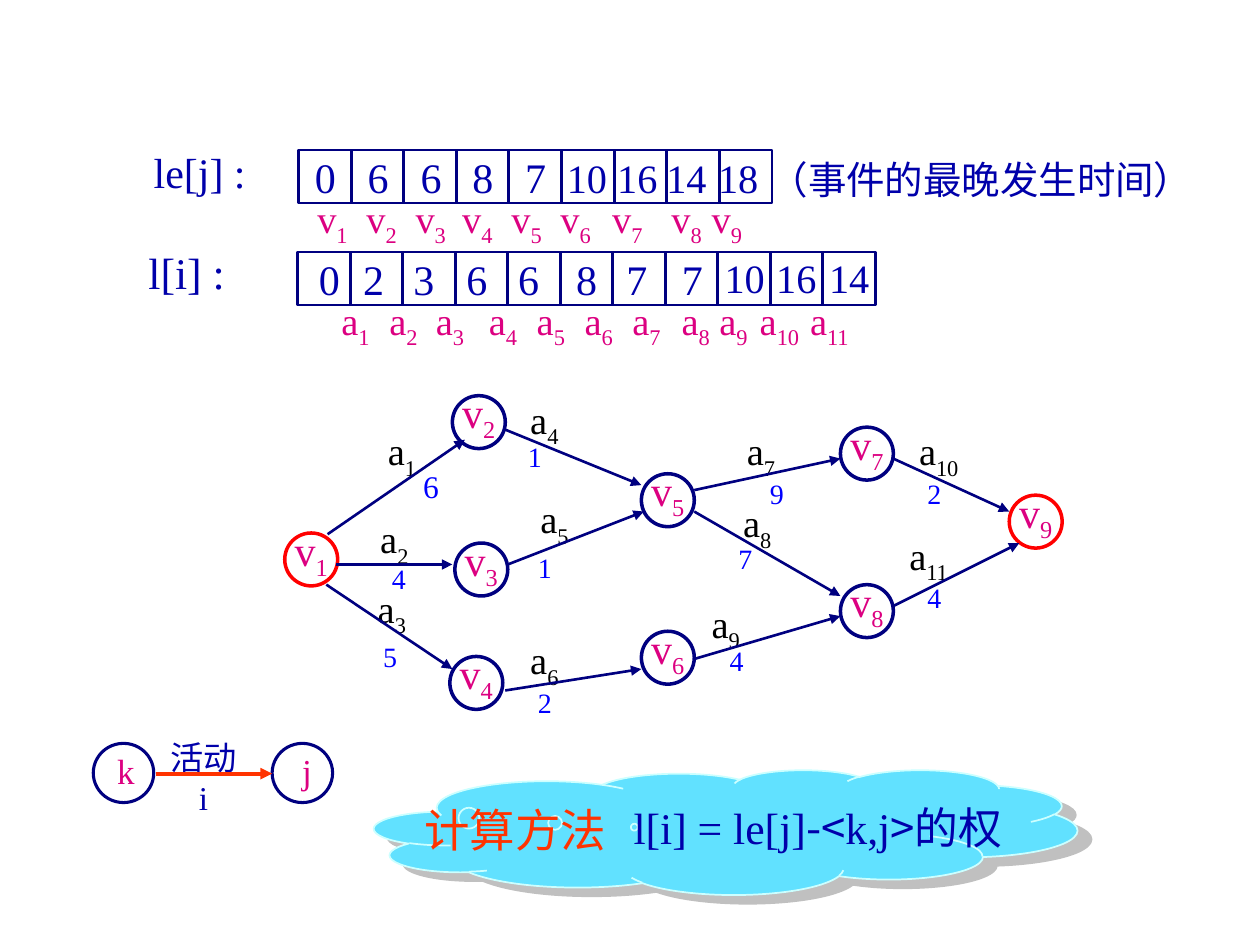
"""Slide on the latest start times of activities in an activity-on-edge network."""
from lxml import etree
from pptx import Presentation
from pptx.dml.color import RGBColor
from pptx.enum.shapes import MSO_CONNECTOR, MSO_SHAPE
from pptx.enum.text import MSO_ANCHOR, PP_ALIGN
from pptx.oxml.ns import qn
from pptx.util import Inches, Pt

STRAIGHT = MSO_CONNECTOR.STRAIGHT
OVAL, RECT, CLOUD = MSO_SHAPE.OVAL, MSO_SHAPE.RECTANGLE, MSO_SHAPE.CLOUD_CALLOUT
LEFT, CENTER, TOP = PP_ALIGN.LEFT, PP_ALIGN.CENTER, MSO_ANCHOR.TOP
SERIF, SANS = "Times New Roman", "Noto Sans CJK SC"
COLORS = {"navy": "000080", "blue": "0000AA", "weight": "0000FF", "pink": "DC0081",
          "red": "FF0000", "orange": "FF3300", "black": "000000", "sky": "61E1FF",
          "foam": "CCFFFF", "gray": "C0C0C0"}

prs = Presentation()
prs.slide_width, prs.slide_height = Inches(10), Inches(7.5)
COL, ROW = prs.slide_width / 100, prs.slide_height / 75
slide = prs.slides.add_slide(prs.slide_layouts[6])
shapes = slide.shapes


def outline(kind, x, y, w, h, color, width):
    part = shapes.add_shape(kind, int(x * COL), int(y * ROW), int(w * COL), int(h * ROW))
    part.shadow.inherit = False
    part.fill.background()
    part.line.color.rgb = RGBColor.from_string(COLORS[color])
    part.line.width = Pt(width)
    return part


def write(x, y, w, h, runs, size, color, align=CENTER, wrap=False, tabs=(), inset=1):
    label = shapes.add_textbox(int(x * COL), int(y * ROW), int(w * COL), int(h * ROW))
    frame = {"word_wrap": wrap, "vertical_anchor": TOP, "margin_left": int(inset * COL)}
    for key, value in frame.items():
        setattr(label.text_frame, key, value)
    paragraph = label.text_frame.paragraphs[0]
    paragraph.alignment = align
    if tabs:
        stops = etree.SubElement(paragraph._p.get_or_add_pPr(), qn("a:tabLst"))
        for stop in tabs:
            etree.SubElement(stops, qn("a:tab"), pos=str(int(stop * COL)), algn="l")
    for text, changes in runs:
        look = {"size": size, "name": SERIF, "drop": 0, **changes}
        if look.get("new_line"):
            paragraph.add_line_break()
        run = paragraph.add_run()
        run.text = text
        for key, value in {"size": Pt(look["size"]), "name": look["name"]}.items():
            setattr(run.font, key, value)
        run.font.color.rgb = RGBColor.from_string(COLORS[color])
        if look["drop"]:
            run._r.get_or_add_rPr().set("baseline", str(-1000 * look["drop"]))
    return paragraph


arrows = []

for left in (7.4, 21.6):
    outline(OVAL, left, 59, 4.8, 4.7, "navy", 1.75)
arrows.append((12.4, 61.4, 21.6, 61.4, "orange", 2.25))
write(12.1, 58, 8.1, 4.2, [("活动", {"name": SANS}), ("i", {"new_line": True})], 19, "blue")
write(8.2, 59, 3.6, 4.3, [("k", {})], 20, "pink")
write(22.9, 59, 2.9, 4.3, [("j", {})], 20, "pink")

cloud = outline(CLOUD, 29.7, 61.1, 55.8, 9.9, "foam", 1)
cloud.fill.solid()
cloud.fill.fore_color.rgb = RGBColor.from_string(COLORS["sky"])
cloud.adjustments[0], cloud.adjustments[1] = -0.13, -0.04
method = write(32.7, 63.2, 21.2, 5.3, [("计算方法", {})], 26, "orange", LEFT, True)
method_effects = etree.Element(qn("a:effectLst"))
method.runs[0]._r.rPr.find(qn("a:solidFill")).addnext(method_effects)
cloud_effects = cloud._element.spPr.find(qn("a:effectLst"))
for effects, distance, angle, color in ((cloud_effects, 9.4, 32, "gray"),
                                        (method_effects, 2, 45, "black")):
    shade = etree.SubElement(effects, qn("a:outerShdw"), blurRad="0", dist=str(Pt(distance)),
                             dir=str(angle * 60000), algn="ctr", rotWithShape="0")
    etree.SubElement(shade, qn("a:srgbClr"), val=COLORS[color])
write(49.3, 63.1, 45.6, 5.2,
      [("l[i] = le[j]", {}), ("-<", {"name": SANS}), ("k,j", {}), (">", {"name": SANS}),
       ("的权", {})], 25, "blue", LEFT, True)

PITCH, CELL = 4.17, 4.2
for left, top, count in ((23.7, 11.9, 9), (23.6, 20, 11)):
    for column in range(count):
        outline(RECT, left + column * PITCH, top, CELL, CELL, "navy", 1.5)

write(11, 11.1, 9.7, 5, [("le[j] :", {})], 24, "blue")
write(10.8, 19, 8.3, 5.2, [("l[i] :", {})], 25, "blue", LEFT)
write(60.1, 11.9, 35.8, 4.7, [("（事件的最晚发生时间）", {})], 22, "blue", LEFT)
write(24, 11.5, 37.2, 5, [("0\t6\t6\t8\t7\t", {}), ("10\t16\t14\t18", {"size": 23})],
      24, "blue", LEFT, True, (4.2, 8.4, 12.5, 16.7, 20, 24, 27.9, 32))

event_stops = (3.9, 7.8, 11.5, 15.4, 19.3, 23.4, 28.1, 31.3)
activity_stops = (3.8, 7.5, 11.7, 15.5, 19.3, 23.1, 27, 30, 33.2, 37.2)
for letter, left, top, width, stops, inset in (("v", 24.2, 15, 39.3, event_stops, 1),
                                               ("a", 23.8, 23.1, 47, activity_stops, 3.3)):
    names = []
    for number in range(1, len(stops) + 2):
        names += [(letter if number == 1 else "\t" + letter, {}), (str(number), {"drop": 25})]
    write(left, top, width, 4.7, names, 22, "pink", LEFT, True, stops, inset)

latest_starts = ((24.3, 0), (27.8, 2), (31.8, 3), (36, 6), (40.1, 6), (44.7, 8),
                 (48.7, 7), (53.1, 7), (56.5, 10), (60.6, 16), (64.8, 14))
for left, start in latest_starts:
    width, size = (5.2, 23) if start > 9 else (3.7, 24)
    write(left, 19.6, width, 5, [(str(start), {})], size, "blue")

events = ((22.6, 42.3), (35.9, 31.4), (36.1, 43.1), (35.7, 52.1), (50.9, 37.6),
          (50.9, 50.1), (66.7, 33.9), (66.7, 46.4), (80.1, 39.3))
for number, (left, top) in enumerate(events, 1):
    outline(OVAL, left, top, CELL, CELL, "red" if number in (1, 9) else "navy", 2)
    write(left - 0.3, top - 1.2, 4.8, 5, [("v", {}), (str(number), {"drop": 24})], 24, "pink")

activities = (
    ((26, 42.4, 36.9, 34.9), (29.6, 33.4), 6, (32.6, 36.6)),
    ((26.7, 44.8, 35.9, 44.8), (29, 40.4), 4, (30.1, 44.1)),
    ((25.9, 46.4, 35.9, 53.1), (28.8, 45.9), 5, (29.4, 50.3)),
    ((40.1, 34.1, 50.9, 38.5), (40.9, 30.9), 1, (40.9, 34.4)),
    ((40.3, 44.8, 51.1, 40.6), (41.7, 38.8), 1, (41.7, 43.2)),
    ((40.1, 54.8, 50.9, 53.1), (40.9, 50), 2, (41.7, 53.9)),
    ((55.1, 38.9, 66.7, 36.4), (58.1, 33.4), 9, (60.1, 37.3)),
    ((55.1, 40.6, 66.7, 47.3), (57.8, 39.1), 7, (57.6, 42.5)),
    ((55.1, 52.3, 66.7, 48.9), (55.3, 47.1), 4, (56.9, 50.6)),
    ((70.9, 36.4, 80.1, 40.6), (71.7, 33.4), 2, (72.6, 37.3)),
    ((70.9, 48.1, 80.9, 43.1), (70.9, 41.7), 4, (72.6, 45.6)),
)
for number, (ends, name_at, weight, weight_at) in enumerate(activities, 1):
    arrows.append((*ends, "navy", 1.5))
    write(*name_at, 5.6 if number > 9 else 4.6, 4.7,
          [("a", {}), (str(number), {"drop": 28})], 22, "black")
    write(*weight_at, 3.1, 3.7, [(str(weight), {})], 18 if number == 1 else 16, "weight")

for x1, y1, x2, y2, color, width in arrows:
    arrow = shapes.add_connector(STRAIGHT, int(x1 * COL), int(y1 * ROW),
                                 int(x2 * COL), int(y2 * ROW))
    arrow.line.color.rgb = RGBColor.from_string(COLORS[color])
    arrow.line.width = Pt(width)
    etree.SubElement(arrow.line._get_or_add_ln(), qn("a:tailEnd"), type="triangle")
    etree.SubElement(arrow._element.spPr, qn("a:effectLst"))

prs.save("out.pptx")
